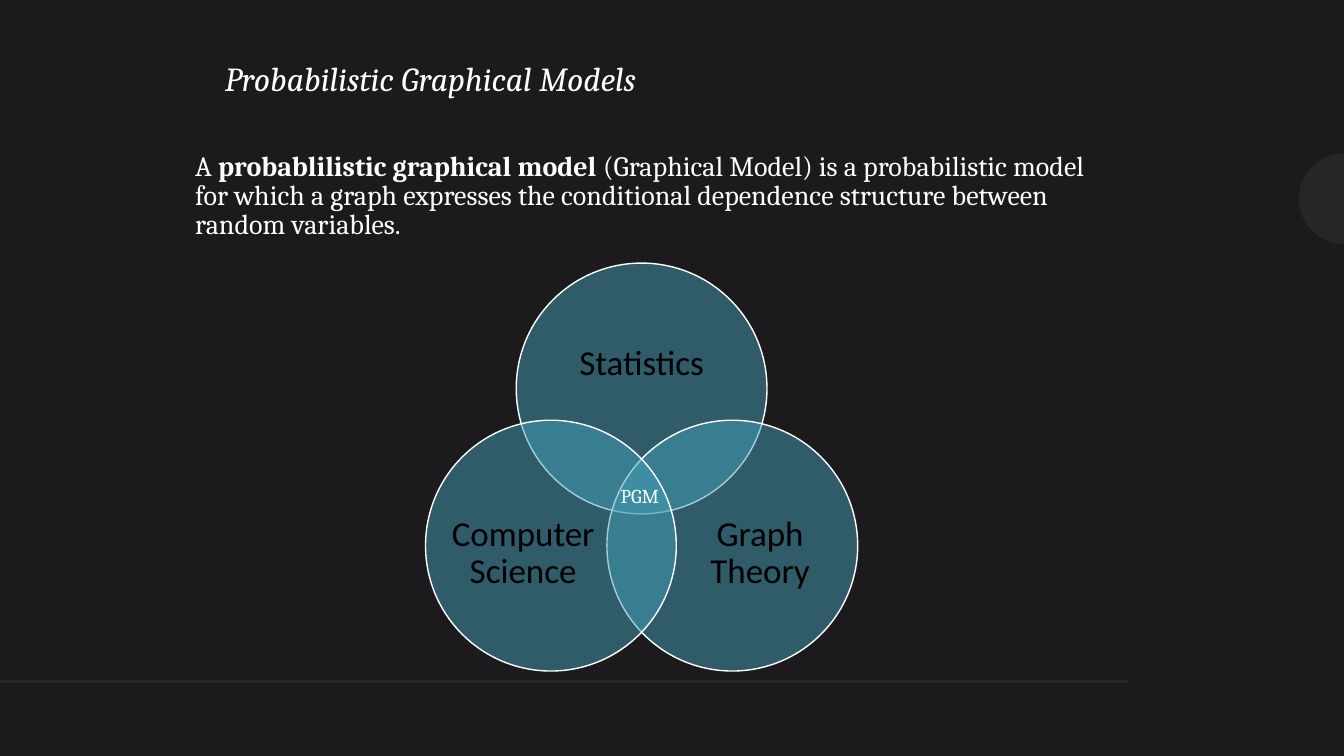
import math

from lxml import etree
from pptx import Presentation
from pptx import util as u
from pptx.dml import color as c
from pptx.enum import shapes as s, text as t
from pptx.oxml import ns

NIGHT = c.RGBColor(0x1D, 0x1A, 0x1D)
GREY = c.RGBColor(0x26, 0x26, 0x26)
TEAL = c.RGBColor(0x43, 0x9E, 0xB7)
WHITE = c.RGBColor(0xFF, 0xFF, 0xFF)
BLACK = c.RGBColor(0x00, 0x00, 0x00)
WIDE, HIGH = 33.87, 19.05


def apply(item, style):
    """Set each attribute named in the style."""
    for key, value in style.items():
        setattr(item, key, value)


class Deck:
    """Holds the text style and the current slide."""

    serif = {"name": "Cambria", "size": u.Pt(20), "bold": False, "italic": False}
    frame = {"word_wrap": True, "auto_size": t.MSO_AUTO_SIZE.NONE}

    def __init__(self):
        """Open a dark title-only slide."""
        self.prs = Presentation()
        apply(self.prs, {"slide_width": u.Cm(WIDE), "slide_height": u.Cm(HIGH)})
        self.slide = self.prs.slides.add_slide(self.prs.slide_layouts[5])
        self.shapes = self.slide.shapes
        fill = self.slide.background.fill
        fill.solid()
        fill.fore_color.rgb = NIGHT

    def letter(self, box, runs, hue=WHITE, font=None, para=None, frame=None):
        """Fill a box with one paragraph of (words, bold) runs."""
        apply(box.text_frame, {**self.frame, **(frame or {})})
        line = box.text_frame.paragraphs[0]
        apply(line, {"alignment": t.PP_ALIGN.LEFT, **(para or {})})
        for words, bold in runs:
            run = line.add_run()
            run.text = words
            apply(run.font, {**self.serif, "bold": bold, **(font or {})})
            run.font.color.rgb = hue

    def title(self, words, area, **style):
        """Place and fill the title."""
        box = self.shapes.title
        apply(box, dict(zip(("left", "top", "width", "height"), map(u.Cm, area))))
        self.letter(box, [(words, False)], **style)

    def text(self, runs, area, **style):
        """Add a text box."""
        self.letter(self.shapes.add_textbox(*map(u.Cm, area)), runs, **style)

    def disc(self, x, y, size):
        """Add a half-clear circle centred on a point."""
        area = x - size / 2, y - size / 2, size, size
        disc = self.shapes.add_shape(s.MSO_SHAPE.OVAL, *map(u.Cm, area))
        disc.shadow.inherit = False
        disc.fill.solid()
        disc.fill.fore_color.rgb = TEAL
        tint = disc._element.spPr.find(".//" + ns.qn("a:srgbClr"))
        etree.SubElement(tint, ns.qn("a:alpha"), val="50000")
        disc.line.color.rgb = WHITE
        disc.line.width = u.Pt(1)

    def tab(self, x, y, size):
        """Add a half disc that opens to the right."""
        turns = [math.radians(a) for a in range(90, 271, 5)]
        spots = [(u.Cm(x + size * math.cos(a)), u.Cm(y - size * math.sin(a)))
                 for a in turns]
        form = self.shapes.build_freeform(*spots[0])
        form.add_line_segments(spots[1:], close=True)
        half = form.convert_to_shape()
        half.shadow.inherit = False
        half.fill.solid()
        half.fill.fore_color.rgb = GREY
        half.line.fill.background()

    def rule(self, *ends):
        """Add a plain straight line."""
        rule = self.shapes.add_connector(s.MSO_CONNECTOR.STRAIGHT, *map(u.Cm, ends))
        rule.line.color.rgb = GREY
        rule.line.width = u.Pt(2)
        etree.SubElement(rule._element.spPr, ns.qn("a:effectLst"))

    def venn(self, x, y, reach, size, sets):
        """Add labelled circles evenly spread around a point."""
        label = {"margin_left": 0, "margin_top": 0, "margin_right": 0,
                 "margin_bottom": 0, "vertical_anchor": t.MSO_ANCHOR.MIDDLE}
        for i, (name, dx, dy, wide, high) in enumerate(sets):
            turn = 2 * math.pi * i / len(sets)
            cx, cy = x + reach * math.sin(turn), y - reach * math.cos(turn)
            self.disc(cx, cy, size)
            self.text([(name, False)],
                      (cx + dx - wide / 2, cy + dy - high / 2, wide, high),
                      hue=BLACK, font={"name": "Calibri", "size": u.Pt(25)},
                      para={"alignment": t.PP_ALIGN.CENTER, "line_spacing": 0.9},
                      frame=label)


def main():
    """Build and save the slide."""
    deck = Deck()
    deck.tab(WIDE, 5.01, 1.14)
    deck.rule(28.45, 17.17, 0, 17.17)
    deck.title("Probabilistic Graphical Models", (5.41, 0.76, 23.34, 2.29),
               font={"size": u.Pt(24), "italic": True},
               para={"line_spacing": 1.13},
               frame={"vertical_anchor": t.MSO_ANCHOR.MIDDLE})
    deck.text([("A ", False), ("probablilistic graphical model", True),
               (" (Graphical Model) is a probabilistic model for which a graph "
                "expresses the conditional dependence structure between "
                "random variables.", False)],
              (4.67, 3.76, 23.77, 2.5), para={"line_spacing": 0.85})
    deck.venn(16.17, 12.43, 2.64, 6.32, [
        ("Statistics", 0, -0.62, 4.65, 2.84),
        ("Graph Theory", 0.7, 0.2, 3.81, 3.48),
        ("Computer Science", -0.7, 0.2, 3.81, 3.48)])
    deck.text([("PGM", False)], (15.39, 12.07, 1.88, 0.86),
              font={"size": u.Pt(14)})
    deck.prs.save("out.pptx")


if __name__ == "__main__":
    main()
